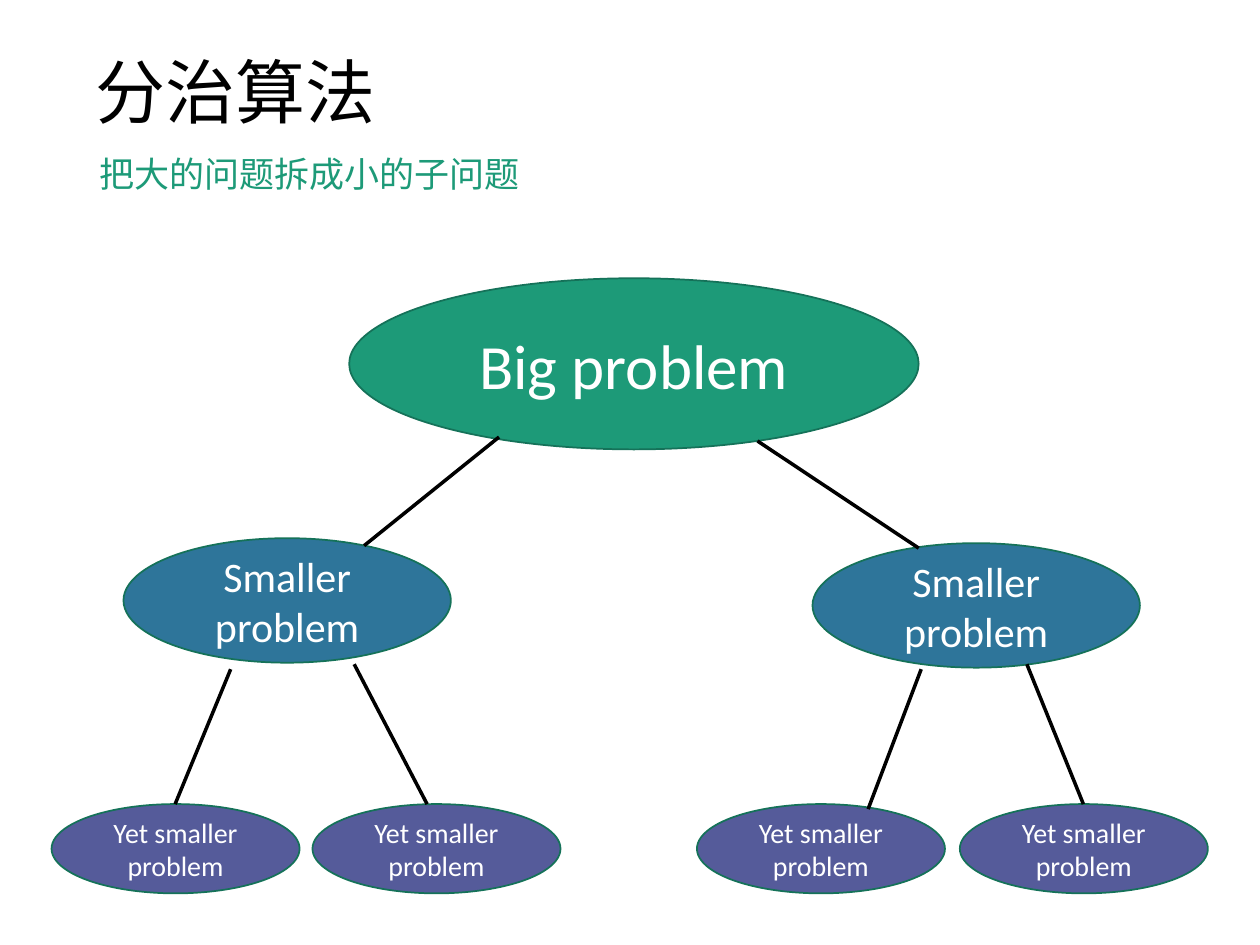
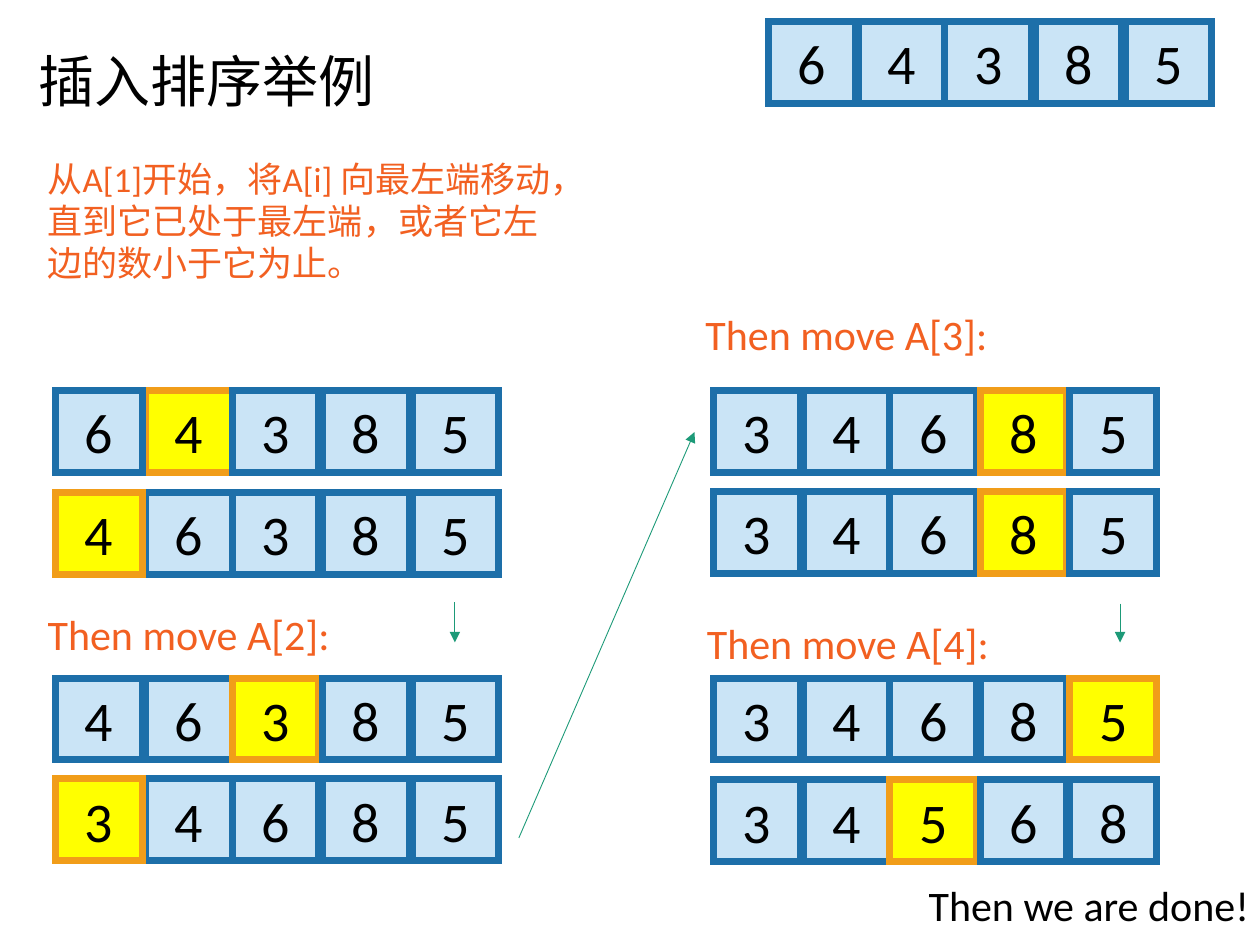
import dataclasses

import pptx
import pptx.dml.color
import pptx.enum.shapes
import pptx.enum.text
import pptx.oxml
import pptx.oxml.ns
import pptx.util
from pptx.util import Cm, Pt

ALIGN = pptx.enum.text.PP_ALIGN
ANCHOR = pptx.enum.text.MSO_ANCHOR
SHAPE = pptx.enum.shapes.MSO_SHAPE
LINE = pptx.enum.shapes.MSO_CONNECTOR.STRAIGHT


@dataclasses.dataclass(frozen=True)
class Theme:
    font: str = "Calibri"
    black: str = "000000"
    white: str = "FFFFFF"
    green: str = "1D9A78"
    rim: str = "157259"
    teal: str = "2E759A"
    violet: str = "555B9A"
    orange: str = "F26021"
    pale: str = "CAE4F6"
    blue: str = "1D6FA9"
    yellow: str = "FFFF00"
    amber: str = "F19D19"
    title: int = 40
    large: int = 36
    digit: int = 32
    label: int = 24
    body: int = 20
    small: int = 16


T = Theme()

# Slide 1: tree levels as (text, fill, type size, (width, height), places)
TREE_TITLE = "分治算法"
TREE_LEAD = "把大的问题拆成小的子问题"
LEVELS = [
    ("Big problem", T.green, T.large, (11.48, 3.45), [(7.04, 5.61)]),
    ("Smaller problem", T.teal, T.label, (6.6, 2.51),
     [(16.38, 10.95), (2.49, 10.85)]),
    ("Yet smaller problem", T.violet, T.small, (5, 1.8),
     [(x, 16.21) for x in (1.04, 6.3, 14.05, 19.35)]),
]
EDGES = [
    (15.27, 8.89, 18.52, 11.05), (10.06, 8.81, 7.34, 11),
    (4.65, 13.49, 3.53, 16.21), (18.57, 13.49, 17.5, 16.31),
    (20.7, 13.39, 21.84, 16.21), (7.14, 13.39, 8.61, 16.21),
]

# Slide 2: rows as (left, top, digits, index of the marked cell)
SORT_TITLE = "插入排序举例"
LEFT, RIGHT = 1.12, 14.38
ROWS = [
    (LEFT, 7.87, "64385", 1), (LEFT, 9.93, "46385", 0),
    (LEFT, 13.67, "46385", 2), (LEFT, 15.7, "34685", 0),
    (RIGHT, 7.87, "34685", 3), (RIGHT, 9.91, "34685", 3),
    (RIGHT, 13.67, "34685", 4), (RIGHT, 15.72, "34568", 2),
    (15.49, 0.43, "64385", None),
]
CELL = (1.75, 1.65)
STEPS = (0, 1.81, 3.56, 5.38, 7.19)
STACK = (1, 0, 2, 3, 4)  # back to front
NOTES = [
    ("从A[1]开始，将A[i] 向最左端移动，直到它已处于最左端，或者它左边的数小于它为止。",
     (0.71, 3.05, 10.87, 2.82), T.body, T.orange),
    ("Then move A[2]:", (0.71, 12.14, 9.7, 1.27), T.label, T.orange),
    ("Then move A[3]:", (13.97, 6.1, 9.7, 1.27), T.label, T.orange),
    ("Then move A[4]:", (14, 12.32, 9.7, 1.27), T.label, T.orange),
    ("Then we are done!", (18.47, 17.6, 9.7, 1.27), T.label, T.black),
]
ARROWS = [
    (9.17, 12.14, 9.17, 12.95), (10.46, 16.89, 14, 8.71),
    (22.58, 12.17, 22.58, 12.95),
]


def rgb(code):
    return pptx.dml.color.RGBColor.from_string(code)


def add_tag(parent, tag, attrs=""):
    parent.append(pptx.oxml.parse_xml(
        f'<a:{tag} {pptx.oxml.ns.nsdecls("a")} {attrs}/>'))


def set_line(shape, color, width):
    shape.line.color.rgb = rgb(color)
    shape.line.width = Pt(width)
    return shape._element.spPr.find(pptx.oxml.ns.qn("a:ln"))


def write(frame, text, size, color, align=ALIGN.LEFT, anchor=ANCHOR.TOP,
          space=None):
    frame.word_wrap = True
    frame.vertical_anchor = anchor
    para = frame.paragraphs[0]
    para.alignment = align
    para.line_spacing = space
    run = para.add_run()
    run.text = text
    run.font.name = T.font
    run.font.size = Pt(size)
    run.font.color.rgb = rgb(color)


def add_text(slide, text, box, size, color, **style):
    shape = slide.shapes.add_textbox(*map(Cm, box))
    write(shape.text_frame, text, size, color, **style)


def add_title(slide, text, box, size):
    add_text(slide, text, box, size, T.black, anchor=ANCHOR.MIDDLE, space=0.9)


def add_node(shapes, kind, box, text, size, color, fill, edge, width):
    node = shapes.add_shape(kind, *map(Cm, box))
    node.shadow.inherit = False
    node.fill.solid()
    node.fill.fore_color.rgb = rgb(fill)
    # Square corners
    add_tag(set_line(node, edge, width), "miter", 'lim="800000"')
    write(node.text_frame, text, size, color, ALIGN.CENTER, ANCHOR.MIDDLE)


def add_line(slide, ends, color, width, arrow=False):
    line = slide.shapes.add_connector(LINE, *map(Cm, ends))
    stroke = set_line(line, color, width)
    if arrow:
        add_tag(stroke, "tailEnd", 'type="triangle"')
    add_tag(line._element.spPr, "effectLst")


def add_row(slide, left, top, digits, mark):
    group = slide.shapes.add_group_shape()
    for i in STACK:
        fill, edge = (T.yellow, T.amber) if i == mark else (T.pale, T.blue)
        add_node(group.shapes, SHAPE.RECTANGLE, (left + STEPS[i], top, *CELL),
                 digits[i], T.digit, T.black, fill, edge, 4)


def draw_tree(slide):
    add_title(slide, TREE_TITLE, (1.68, 0.1, 21.9, 3.68), T.title)
    add_text(slide, TREE_LEAD, (1.75, 3.05, 21.92, 1.6), T.body, T.green,
             space=0.9)
    for text, fill, size, extent, places in LEVELS:
        for place in places:
            add_node(slide.shapes, SHAPE.OVAL, (*place, *extent),
                     text, size, T.white, fill, T.rim, 1)
    for ends in EDGES:
        add_line(slide, ends, T.black, 2)


def draw_sort(slide):
    add_title(slide, SORT_TITLE, (0.53, 0, 21.9, 3.4), T.digit)
    for row in ROWS:
        add_row(slide, *row)
    for note in NOTES:
        add_text(slide, *note)
    for ends in ARROWS:
        add_line(slide, ends, T.green, 0.5, arrow=True)


def main():
    deck = pptx.Presentation()
    deck.slide_width, deck.slide_height = Cm(25.4), Cm(19.05)
    for draw in (draw_tree, draw_sort):
        draw(deck.slides.add_slide(deck.slide_layouts[6]))
    deck.save("out.pptx")


if __name__ == "__main__":
    main()
